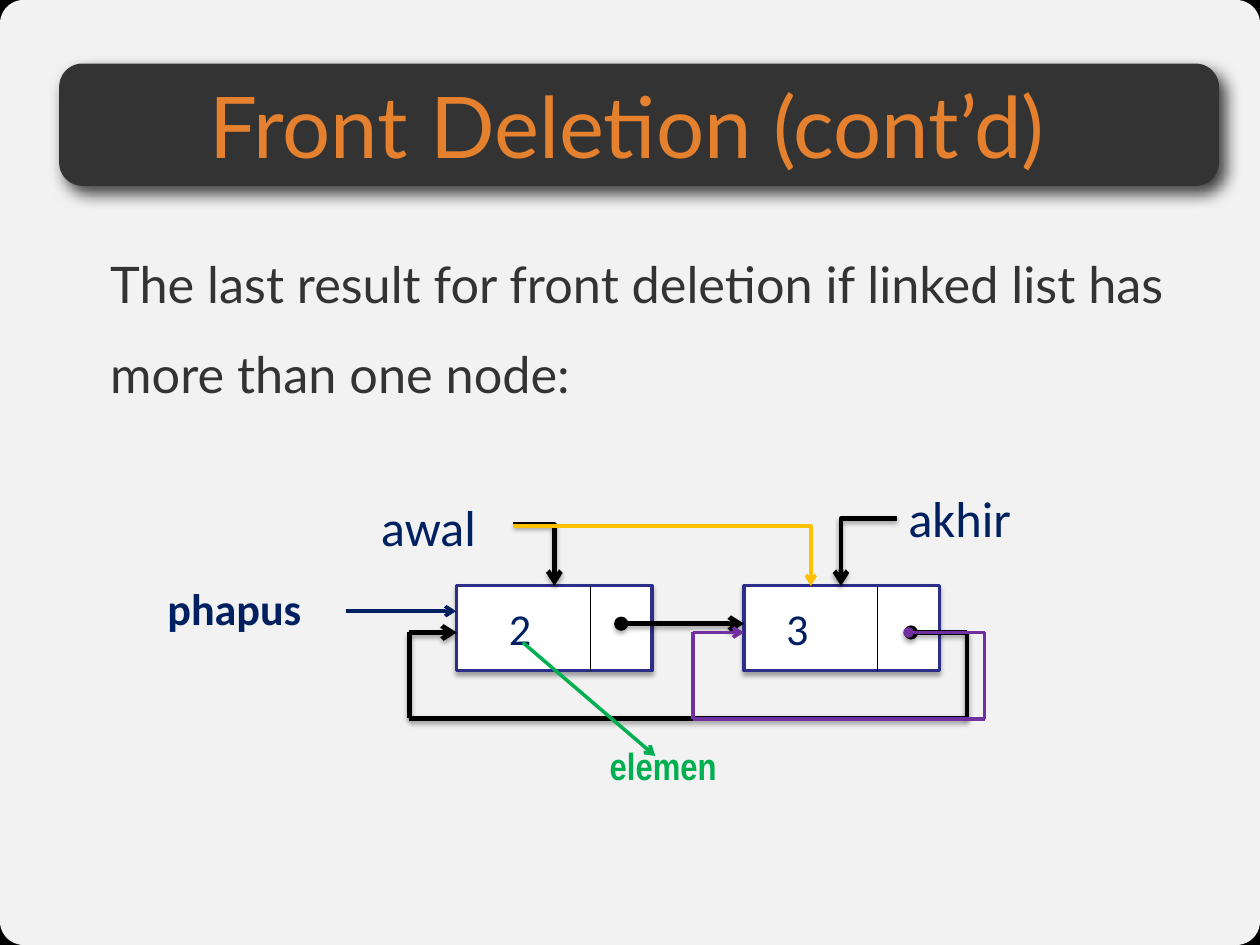
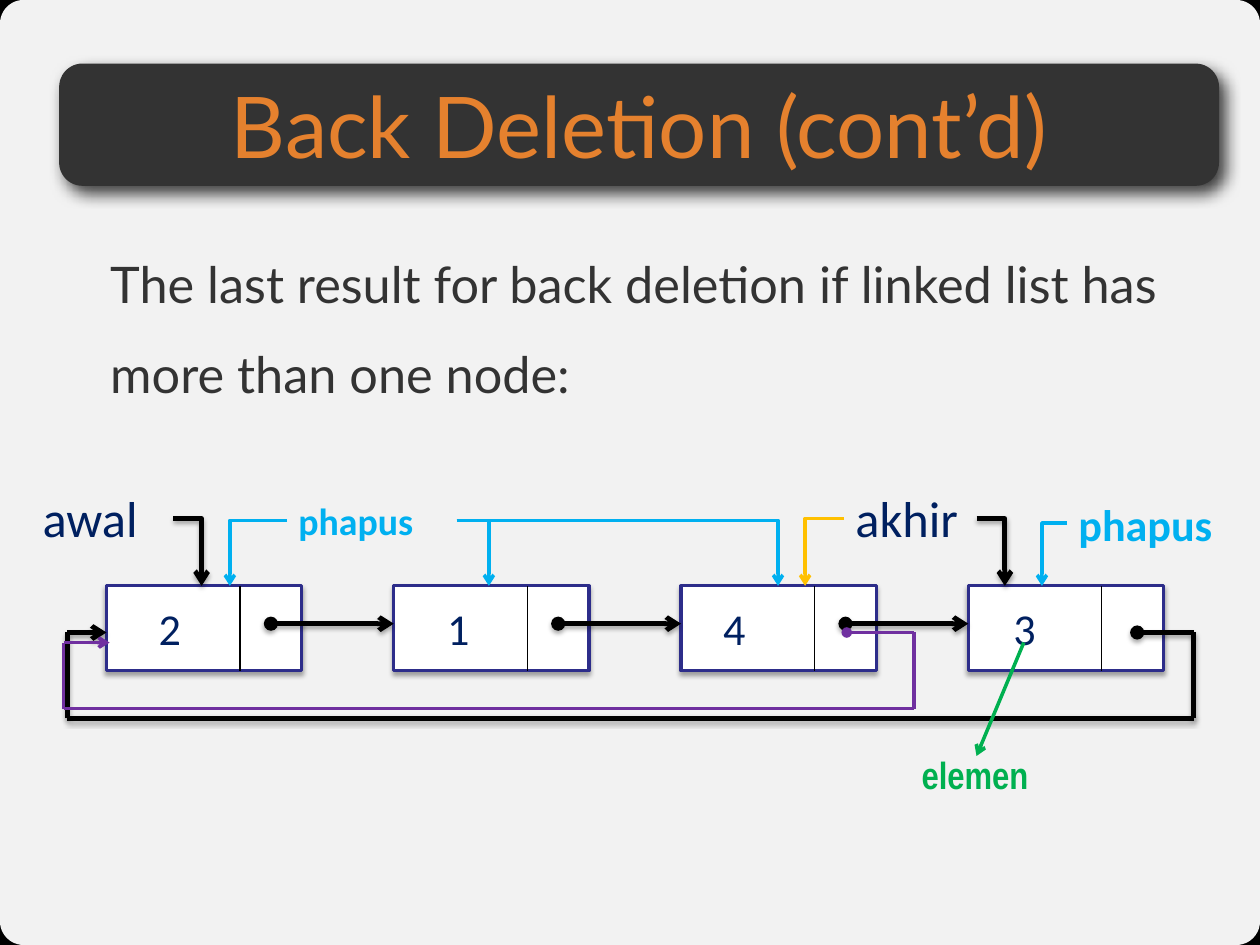
from dataclasses import dataclass
from itertools import pairwise

from lxml.etree import SubElement
from pptx import Presentation
from pptx.dml.color import RGBColor
from pptx.enum.shapes import MSO_CONNECTOR, MSO_SHAPE
from pptx.enum.text import MSO_ANCHOR, PP_ALIGN
from pptx.oxml.ns import qn
from pptx.util import Inches, Pt

# Colours
BLACK = RGBColor(0x00, 0x00, 0x00)
WHITE = RGBColor(0xFF, 0xFF, 0xFF)
CHARCOAL = RGBColor(0x33, 0x33, 0x33)
ORANGE = RGBColor(0xE5, 0x81, 0x2E)
NAVY = RGBColor(0x00, 0x20, 0x60)
INDIGO = RGBColor(0x2D, 0x2D, 0x8A)
GREEN = RGBColor(0x00, 0xB0, 0x50)
AMBER = RGBColor(0xFF, 0xC0, 0x00)
PURPLE = RGBColor(0x70, 0x30, 0xA0)
SKY = RGBColor(0x00, 0xB0, 0xF0)

# Grid: 100 columns by 75 rows of square cells
SLIDE_WIDTH, SLIDE_HEIGHT = Inches(11.11), Inches(8.33)
COLUMNS, ROWS = 100, 75

# Linked-list nodes, in grid cells
NODE_TOP, NODE_WIDTH, NODE_HEIGHT = 46.5, 15.5, 6.75
NODE_PITCH, FIELD_WIDTH = 22.8, 10.6
LINK_START, LINK_ROW = 13.05, 49.5
LOOP_ROW = 50.2


@dataclass(frozen=True)
class Pen:
    color: RGBColor
    width: float = 2.25
    shadow: bool = False


LINK = Pen(BLACK, 3, shadow=True)
DIVIDER = Pen(BLACK, 0.75)


def add_effects(shape, shadow=None):
    """Set the effect list; shadow is alpha %, blur pt, distance pt, degrees."""
    effects = SubElement(shape._element.spPr, qn("a:effectLst"))
    if shadow:
        alpha, blur, distance, angle = shadow
        outer = SubElement(effects, qn("a:outerShdw"), blurRad=str(Pt(blur)),
                           dist=str(Pt(distance)), dir=str(angle * 60000),
                           rotWithShape="0")
        color = SubElement(outer, qn("a:srgbClr"), val=str(BLACK))
        SubElement(color, qn("a:alpha"), val=str(alpha * 1000))


class Deck:
    def __init__(self):
        self.prs = Presentation()
        self.prs.slide_width, self.prs.slide_height = SLIDE_WIDTH, SLIDE_HEIGHT
        self.slide = None

    def grid(self, *cells):
        """Turn alternating column and row values into lengths."""
        steps = (SLIDE_WIDTH / COLUMNS, SLIDE_HEIGHT / ROWS)
        return [round(cell * steps[i % 2]) for i, cell in enumerate(cells)]

    # Text and boxes
    def box(self, kind, area, fill, border=None):
        shape = self.slide.shapes.add_shape(kind, *self.grid(*area))
        shape.fill.solid()
        shape.fill.fore_color.rgb = fill
        if border:
            shape.line.color.rgb = border
            shape.line.width = Pt(2)
        else:
            shape.line.fill.background()
        return shape

    def text(self, words, area, size, color, font="Calibri", bold=False,
             inset=True):
        frame = self.slide.shapes.add_textbox(*self.grid(*area)).text_frame
        frame.word_wrap = True
        if not inset:
            frame.margin_left = frame.margin_right = 0
            frame.margin_top = frame.margin_bottom = 0
        frame.text = words
        style = frame.paragraphs[0].runs[0].font
        style.name, style.size, style.bold = font, Pt(size), bold
        style.color.rgb = color
        return frame

    def label(self, words, x, y, width, size=32, color=NAVY, **style):
        return self.text(words, (x, y, width, size * 0.18), size, color, **style)

    # Lines
    def line(self, pen, start, end, head=None, tail=None, bent=False):
        kind = MSO_CONNECTOR.ELBOW if bent else MSO_CONNECTOR.STRAIGHT
        connector = self.slide.shapes.add_connector(
            kind, *self.grid(*start, *end))
        if bent:
            geometry = connector._element.spPr.find(qn("a:prstGeom"))
            geometry.set("prst", "bentConnector2")
        connector.line.color.rgb = pen.color
        connector.line.width = Pt(pen.width)
        outline = connector.line._get_or_add_ln()
        for tag, mark in (("a:headEnd", head), ("a:tailEnd", tail)):
            if mark:
                SubElement(outline, qn(tag), type=mark)
        add_effects(connector, (35, 3.1, 1.8, 90) if pen.shadow else None)

    def arrow(self, pen, start, end, **options):
        self.line(pen, start, end, tail="arrow", **options)

    def pointer(self, pen, x, y, target):
        """Run sideways from a label, then down onto a node."""
        self.arrow(pen, (x, y), (target, NODE_TOP), bent=True)

    def loop(self, pen, start, right, bottom, left, end):
        """Lead from the last node round below the list to the first."""
        corners = [start, (right, start[1]), (right, bottom),
                   (left, bottom), (left, end[1]), end]
        sides = list(pairwise(corners))
        for side in sides:
            self.line(pen, *side, head="oval" if side is sides[0] else None,
                      tail="arrow" if side is sides[-1] else None)

    # Linked list
    def nodes(self, first, values):
        """Draw nodes from (digit, digit offset) pairs, each linked to the next."""
        lefts = [first + i * NODE_PITCH for i in range(len(values))]
        for left, (digit, offset) in zip(lefts, values):
            self.box(MSO_SHAPE.RECTANGLE,
                     (left, NODE_TOP, NODE_WIDTH, NODE_HEIGHT), WHITE, INDIGO)
            divider = left + FIELD_WIDTH
            self.line(DIVIDER, (divider, NODE_TOP),
                      (divider, NODE_TOP + NODE_HEIGHT))
            self.label(digit, left + offset, 47.25, 5.65, size=28)
        for left, following in pairwise(lefts):
            self.arrow(LINK, (left + LINK_START, LINK_ROW),
                       (following, LINK_ROW), head="oval")

    def element(self, x, y, start, end):
        self.label("elemen", x, y, 14.2, size=24, color=GREEN,
                   font="Arial Narrow", bold=True)
        self.arrow(Pen(GREEN), start, end)

    # Shared slide frame
    def start_slide(self, title, body, title_width):
        self.slide = self.prs.slides.add_slide(self.prs.slide_layouts[6])
        backdrop = self.slide.background.fill
        backdrop.solid()
        backdrop.fore_color.rgb = BLACK

        panel = self.box(MSO_SHAPE.ROUNDED_RECTANGLE, (0, 0, COLUMNS, ROWS), WHITE)
        panel.adjustments[0] = 0.025
        panel.shadow.inherit = False
        tint = panel._element.spPr.find(qn("a:solidFill"))[0]
        SubElement(tint, qn("a:alpha"), val="95000")

        paragraph = self.text(body, (8.75, 17.65, 86, 50), 32, CHARCOAL,
                              font="Lato", inset=False).paragraphs[0]
        paragraph.line_spacing = 1.5

        band = self.box(MSO_SHAPE.ROUNDED_RECTANGLE, (4.7, 5.05, 92.05, 9.7),
                        CHARCOAL)
        band.adjustments[0] = 0.19
        add_effects(band, (75, 10, 6, 51))
        heading = self.text(title, (4.7, 5.4, title_width, 9), 54, ORANGE,
                            font="Lato", inset=False)
        heading.vertical_anchor = MSO_ANCHOR.MIDDLE
        heading.paragraphs[0].alignment = PP_ALIGN.CENTER


def front_deletion(deck):
    deck.start_slide(
        "Front Deletion (cont’d)",
        "The last result for front deletion if linked list has more than one node:",
        title_width=90.1)
    deck.nodes(36.25, [("2", 3.25), ("3", 2.45)])

    # List ends
    deck.label("akhir", 71.2, 38.25, 11.3)
    deck.label("awal", 29.35, 38.9, 11.3)
    deck.pointer(LINK, 71.2, 41.15, 66.75)
    deck.pointer(LINK, 40.75, 41.65, 44)
    deck.loop(LINK, (72.3, LOOP_ROW), 76.75, 57, 32.5, (36.25, LOOP_ROW))

    # Deleted node
    deck.label("phapus", 12.4, 45.7, 15.75, size=28, bold=True)
    deck.arrow(Pen(NAVY), (27.45, 48.5), (36.2, 48.5))
    deck.element(47.5, 58.5, (41.5, 51), (52, 60))

    # New first node
    deck.pointer(Pen(AMBER), 40.75, 41.75, 64.35)
    deck.loop(Pen(PURPLE), (72.1, LOOP_ROW), 78.15, 57.05, 55,
              (59.05, LOOP_ROW))


def back_deletion(deck):
    deck.start_slide(
        "Back Deletion (cont’d)",
        "The last result for back deletion if linked list has more than one node:",
        title_width=92.05)
    deck.nodes(8.45, [("2", 3.25), ("1", 3.35), ("4", 2.45), ("3", 2.7)])

    # List ends
    deck.label("awal", 2.5, 38.25, 11.25)
    deck.label("akhir", 67, 38.25, 10.5)
    deck.pointer(LINK, 13.75, 41.15, 16)
    deck.pointer(LINK, 77.5, 41.15, 79.75)
    deck.loop(LINK, (90.25, LOOP_ROW), 94.75, 57, 5.35, (8.45, LOOP_ROW))

    # Search for the node to delete
    deck.label("phapus", 22.8, 39.05, 13.5, size=24, color=SKY, bold=True)
    deck.label("phapus", 84.7, 39, 15.3, size=28, color=SKY, bold=True)
    for x, y, target in [(22.8, 41.3, 18.25), (36.25, 41.3, 38.8),
                         (36.25, 41.3, 61.75), (84.7, 41.5, 82.7)]:
        deck.pointer(Pen(SKY), x, y, target)
    deck.element(72.25, 59.2, (81.25, 51), (77.5, 60))

    # New last node
    deck.pointer(Pen(AMBER), 67, 41.15, 63.9)
    deck.loop(Pen(PURPLE), (67.2, LOOP_ROW), 72.55, 56.25, 5.05, (8.7, 51))


def main():
    deck = Deck()
    front_deletion(deck)
    back_deletion(deck)
    deck.prs.save("out.pptx")


if __name__ == "__main__":
    main()
